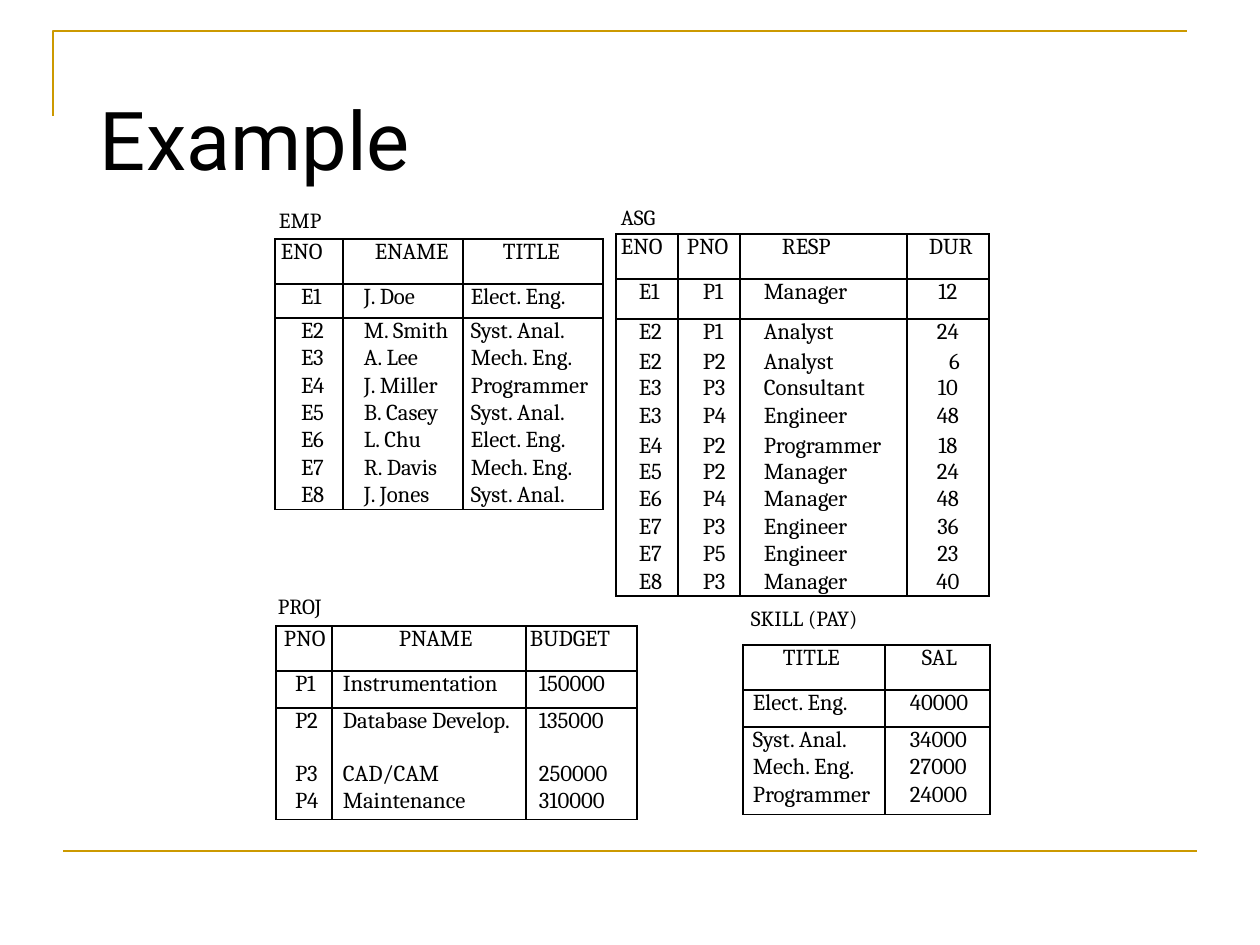
from lxml import etree
from pptx import Presentation
from pptx.dml.color import RGBColor
from pptx.enum.shapes import MSO_CONNECTOR
from pptx.enum.text import MSO_ANCHOR, PP_ALIGN
from pptx.oxml.ns import qn
from pptx.util import Emu, Pt

STRAIGHT = MSO_CONNECTOR.STRAIGHT
TOP, MIDDLE = MSO_ANCHOR.TOP, MSO_ANCHOR.MIDDLE
CENTER = PP_ALIGN.CENTER

BLACK = RGBColor(0, 0, 0)
GOLD = RGBColor(0xCC, 0x99, 0x00)
TITLE_FONT, BODY_FONT = "Roboto", "Cambria"
BORDER_WIDTH = Pt(0.96)

EMP = [
    "ENO|ENAME|TITLE",
    "E1|J. Doe|Elect. Eng.",
    "E2|M. Smith|Syst. Anal.",
    "E3|A. Lee|Mech. Eng.",
    "E4|J. Miller|Programmer",
    "E5|B. Casey|Syst. Anal.",
    "E6|L. Chu|Elect. Eng.",
    "E7|R. Davis|Mech. Eng.",
    "E8|J. Jones|Syst. Anal.",
]
ASG = [
    "ENO|PNO|RESP|DUR",
    "E1|P1|Manager|12",
    "E2|P1|Analyst|24",
    "E2|P2|Analyst|6",
    "E3|P3|Consultant|10",
    "E3|P4|Engineer|48",
    "E4|P2|Programmer|18",
    "E5|P2|Manager|24",
    "E6|P4|Manager|48",
    "E7|P3|Engineer|36",
    "E7|P5|Engineer|23",
    "E8|P3|Manager|40",
]
PROJ = [
    "PNO|PNAME|BUDGET",
    "P1|Instrumentation|150000",
    "P2|Database Develop.|135000",
    "P3|CAD/CAM|250000",
    "P4|Maintenance|310000",
]
SKILL = [
    "TITLE|SAL",
    "Elect. Eng.|40000",
    "Syst. Anal.|34000",
    "Mech. Eng.|27000",
    "Programmer|24000",
]


def px(value):
    return Emu(round(value * 914400 / 126))


def style_text(frame, size, font):
    for para in frame.paragraphs:
        for span in para.runs:
            span.font.size = Pt(size)
            span.font.name = font
            span.font.color.rgb = BLACK


def add_text(page, text, bounds, size, font, left=1, top=0, anchor=TOP):
    frame = page.shapes.add_textbox(*map(px, bounds)).text_frame
    frame.word_wrap = True
    frame.vertical_anchor = anchor
    frame.margin_left, frame.margin_top = px(left), px(top)
    frame.margin_right = frame.margin_bottom = 0
    frame.text = text
    style_text(frame, size, font)


def add_corner(page):
    builder = page.shapes.build_freeform(px(53), px(116))
    builder.add_line_segments([(px(53), px(31)), (px(1187), px(31))], close=False)
    corner = builder.convert_to_shape()
    corner.shadow.inherit = False
    corner.fill.background()
    corner.line.color.rgb = GOLD
    corner.line.width = Pt(1.5)


def add_rule(page):
    rule = page.shapes.add_connector(STRAIGHT, px(63), px(851), px(1197), px(851))
    rule.line.color.rgb = GOLD
    rule.line.width = Pt(1.5)
    properties = rule._element.spPr
    etree.SubElement(properties, qn("a:effectLst"))


def set_borders(cell, edges):
    properties = cell._tc.get_or_add_tcPr()
    for index, edge in enumerate("LRTB"):
        line = etree.Element(qn(f"a:ln{edge}"), w=str(BORDER_WIDTH))
        if edge in edges:
            fill = etree.SubElement(line, qn("a:solidFill"))
            etree.SubElement(fill, qn("a:srgbClr"), val=str(BLACK))
        else:
            etree.SubElement(line, qn("a:noFill"))
        properties.insert(index, line)


def row_edges(row, last):
    edges = "LR"
    if row <= 2:
        edges += "T"
    if row in (0, 1, last):
        edges += "B"
    return edges


def add_relation(page, origin, widths, heights, records, header_indents, indents):
    left, top = origin
    table = page.shapes.add_table(
        len(heights), len(widths), px(left), px(top), px(sum(widths)), px(sum(heights))
    ).table
    table.first_row = table.horz_banding = False
    for column, width in zip(table.columns, widths):
        column.width = px(width)
    for row, height in zip(table.rows, heights):
        row.height = px(height)
    for row, record in enumerate(records):
        for column, text in enumerate(record.split("|")):
            cell = table.cell(row, column)
            indent = indents[column] if row else header_indents[column]
            cell.margin_left = px(indent or 0)
            cell.margin_right = cell.margin_top = cell.margin_bottom = 0
            cell.text_frame.text = text
            style_text(cell.text_frame, 13, BODY_FONT)
            if indent is None:
                cell.text_frame.paragraphs[0].alignment = CENTER
            cell.fill.background()
            set_borders(cell, row_edges(row, len(records) - 1))
    return table


def add_assignments(page):
    heights = [45, 40, 26, 29, 26, 26, 29] + [26] * 5
    table = add_relation(page, (616, 234), [62, 62, 167, 82], heights, ASG,
                         [5, 9, 42, 22], [23, 25, 24, None])
    for row, spacing in ((3, 16.4), (6, 16.6)):
        for cell in table.rows[row].cells:
            cell.text_frame.paragraphs[0].line_spacing = Pt(spacing)
    table.cell(3, 3).margin_left = px(13)


def main():
    deck = Presentation()
    deck.slide_width, deck.slide_height = px(1260), px(945)
    page = deck.slides.add_slide(deck.slide_layouts[6])

    add_corner(page)
    add_rule(page)
    add_text(page, "Example", (63, 38, 1134, 157), 46.4, TITLE_FONT,
             left=37, top=44, anchor=MIDDLE)
    for text, left, top, width in (
        ("SKILL (PAY)", 750, 605, 159),
        ("PROJ", 277, 593, 62),
        ("EMP", 278, 207, 53),
        ("ASG", 620, 204, 49),
    ):
        add_text(page, text, (left, top, width, 28), 12.3, BODY_FONT)

    add_relation(page, (743, 645), [142, 105], [45, 37, 27, 26, 33], SKILL,
                 [40, 37], [10, 25])
    add_relation(page, (276, 626), [56, 194, 111], [45, 37, 53, 26, 31], PROJ,
                 [8, 67, 4], [19, 11, 13])
    add_relation(page, (275, 239), [68, 120, 140], [45, 34] + [27] * 7, EMP,
                 [6, 32, 40], [26, 21, 8])
    add_assignments(page)

    deck.save("out.pptx")


if __name__ == "__main__":
    main()
